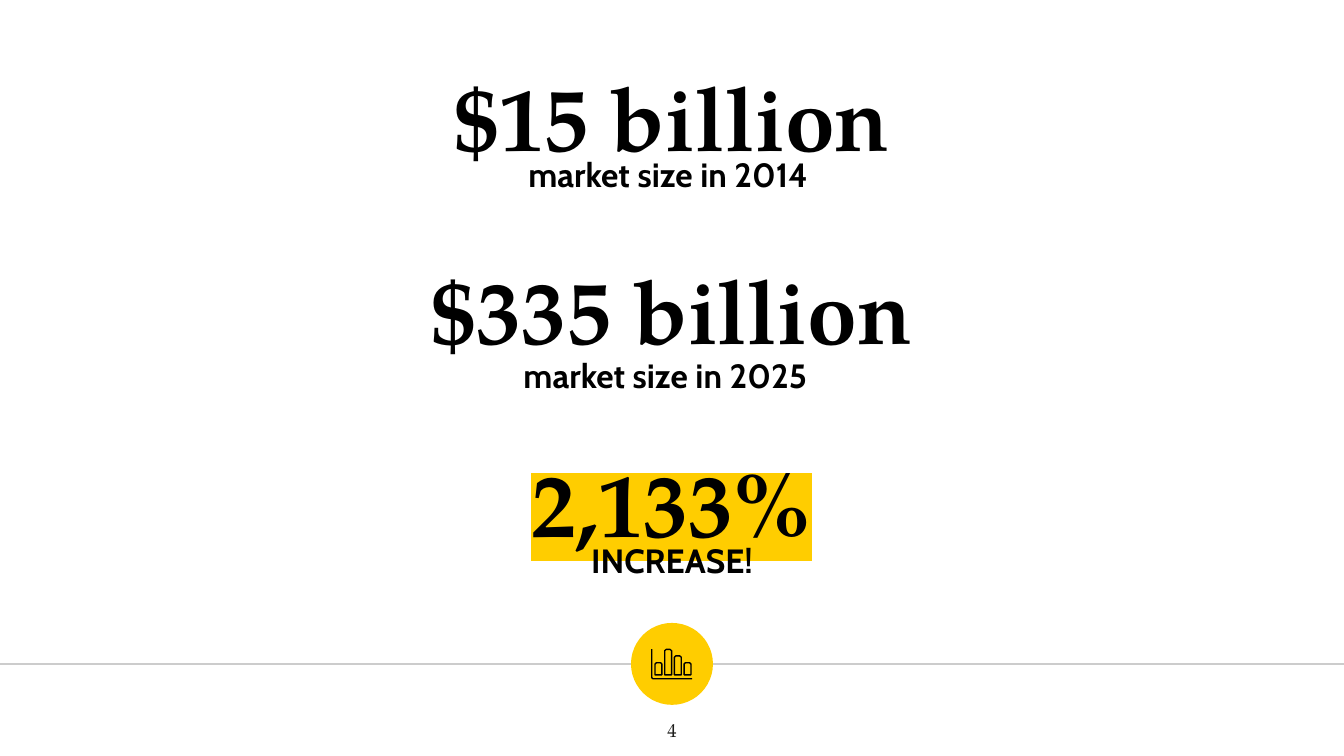
import dataclasses

import lxml.etree
import pptx
import pptx.dml.color
import pptx.enum.shapes
import pptx.enum.text
import pptx.oxml.ns
import pptx.util

WIDE = 10
HIGH = WIDE * 9 / 16


@dataclasses.dataclass(frozen=True)
class Theme:
    """Hold the colours, fonts and type sizes."""
    ink: str = "000000"
    gold: str = "FFCD00"
    rule: str = "CCCCCC"
    page: str = "1D1D1B"
    serif: str = "TeX Gyre Pagella"
    sans: str = "Cabin"
    big: float = 48
    mid: float = 18
    small: float = 10
    thin: float = 0.75


THEME = Theme()


def inch(*sizes):
    """Turn inches into lengths."""
    return [pptx.util.Inches(size) for size in sizes]


def shade(code):
    """Turn a hex code into a colour."""
    return pptx.dml.color.RGBColor.from_string(code)


def clear(line):
    """Give a connector an empty effect list."""
    lxml.etree.SubElement(line._element.spPr, pptx.oxml.ns.qn("a:effectLst"))


def mark(run, code):
    """Highlight a run."""
    fill = run.font._element.find(pptx.oxml.ns.qn("a:solidFill"))
    glow = lxml.etree.Element(pptx.oxml.ns.qn("a:highlight"))
    lxml.etree.SubElement(glow, pptx.oxml.ns.qn("a:srgbClr"), val=code)
    fill.addnext(glow)


def label(slide, box, words, face, size, ink, anchor, bold=True):
    """Add centred text in a box and return its run."""
    frame = slide.shapes.add_textbox(*inch(*box)).text_frame
    frame.word_wrap = True
    frame.vertical_anchor = anchor
    frame.margin_left = frame.margin_right = pptx.util.Inches(0.1)
    frame.margin_top = frame.margin_bottom = pptx.util.Inches(0.1)
    para = frame.paragraphs[0]
    para.alignment = pptx.enum.text.PP_ALIGN.CENTER
    run = para.add_run()
    run.text = words
    run.font.size = pptx.util.Pt(size)
    run.font.bold = bold
    run.font.color.rgb = shade(ink)
    run.font.name = face
    return run


def figure(slide, box, value, note, shift=(0, 0), glow=None):
    """Place a large value with its note below."""
    left, top, wide, high = box
    anchors = pptx.enum.text.MSO_ANCHOR
    run = label(slide, (left, top, wide, high * 0.84), value,
                THEME.serif, THEME.big, THEME.ink, anchors.BOTTOM)
    if glow:
        mark(run, glow)
    spot = (left + shift[0], top + high * 0.57 + shift[1], wide, high * 0.43)
    label(slide, spot, note, THEME.sans, THEME.mid, THEME.ink, anchors.TOP)


def trace(group, box, points, close):
    """Draw an outline from points given as shares of a box."""
    left, top, wide, high = box
    spots = [inch(left + x * wide, top + y * high) for x, y in points]
    pen = group.shapes.build_freeform(*spots[0])
    pen.add_line_segments(spots[1:], close=close)
    shape = pen.convert_to_shape()
    shape.shadow.inherit = False
    shape.fill.background()
    shape.line.color.rgb = shade(THEME.ink)
    shape.line.width = pptx.util.Pt(THEME.thin)


def icon(slide, box):
    """Draw small bars over an axis in a box."""
    left, top, wide, high = box
    group = slide.shapes.add_group_shape()
    axis = [(0, 0), (0, 0.97), (0.03, 1), (1, 1)]
    trace(group, box, axis, False)
    for step, share in enumerate((0.41, 0.86, 0.64, 0.41)):
        tall = high * share
        bar = (left + wide * (0.08 + 0.24 * step),
               top + high * 0.87 - tall, wide * 0.17, tall)
        cut = 0.01 / tall
        edge = [(1, 1), (1, cut), (0.8, 0), (0.2, 0), (0, cut), (0, 1)]
        trace(group, bar, edge, True)


def footer(slide, box):
    """Place the rule, badge, icon and page number."""
    left, top, wide, high = box
    mid, size = left + wide / 2, 0.61
    level = top + 0.31
    kind = pptx.enum.shapes
    rule = slide.shapes.add_connector(
        kind.MSO_CONNECTOR.STRAIGHT, *inch(left, level, left + wide, level))
    rule.line.color.rgb = shade(THEME.rule)
    rule.line.width = pptx.util.Pt(THEME.thin)
    clear(rule)
    badge = slide.shapes.add_shape(
        kind.MSO_SHAPE.OVAL,
        *inch(mid - size / 2, level - size / 2, size, size))
    badge.shadow.inherit = False
    badge.fill.solid()
    badge.fill.fore_color.rgb = shade(THEME.gold)
    badge.line.fill.background()
    icon(slide, (mid - 0.15, level - 0.11, 0.3, 0.22))
    label(slide, (mid - 0.3, top + size, 0.6, high - size), "4", THEME.serif,
          THEME.small, THEME.page, pptx.enum.text.MSO_ANCHOR.MIDDLE, False)


def main():
    """Build and save the slide."""
    deck = pptx.Presentation()
    deck.slide_width, deck.slide_height = inch(WIDE, HIGH)
    slide = deck.slides.add_slide(deck.slide_layouts[6])
    rows = [
        ("$15 billion", "market size in 2014 ", (0, 0), None),
        ("$335 billion", "market size in 2025", (-0.05, 0.06), None),
        ("2,133%", "INCREASE!", (0, 0), THEME.gold),
    ]
    for step, row in enumerate(rows):
        box = (WIDE * 0.075, 0.38 + 1.435 * step, WIDE * 0.85, 1.17)
        figure(slide, box, *row)
    footer(slide, (0, 4.63, WIDE, HIGH - 4.63))
    deck.save("out.pptx")


if __name__ == "__main__":
    main()
